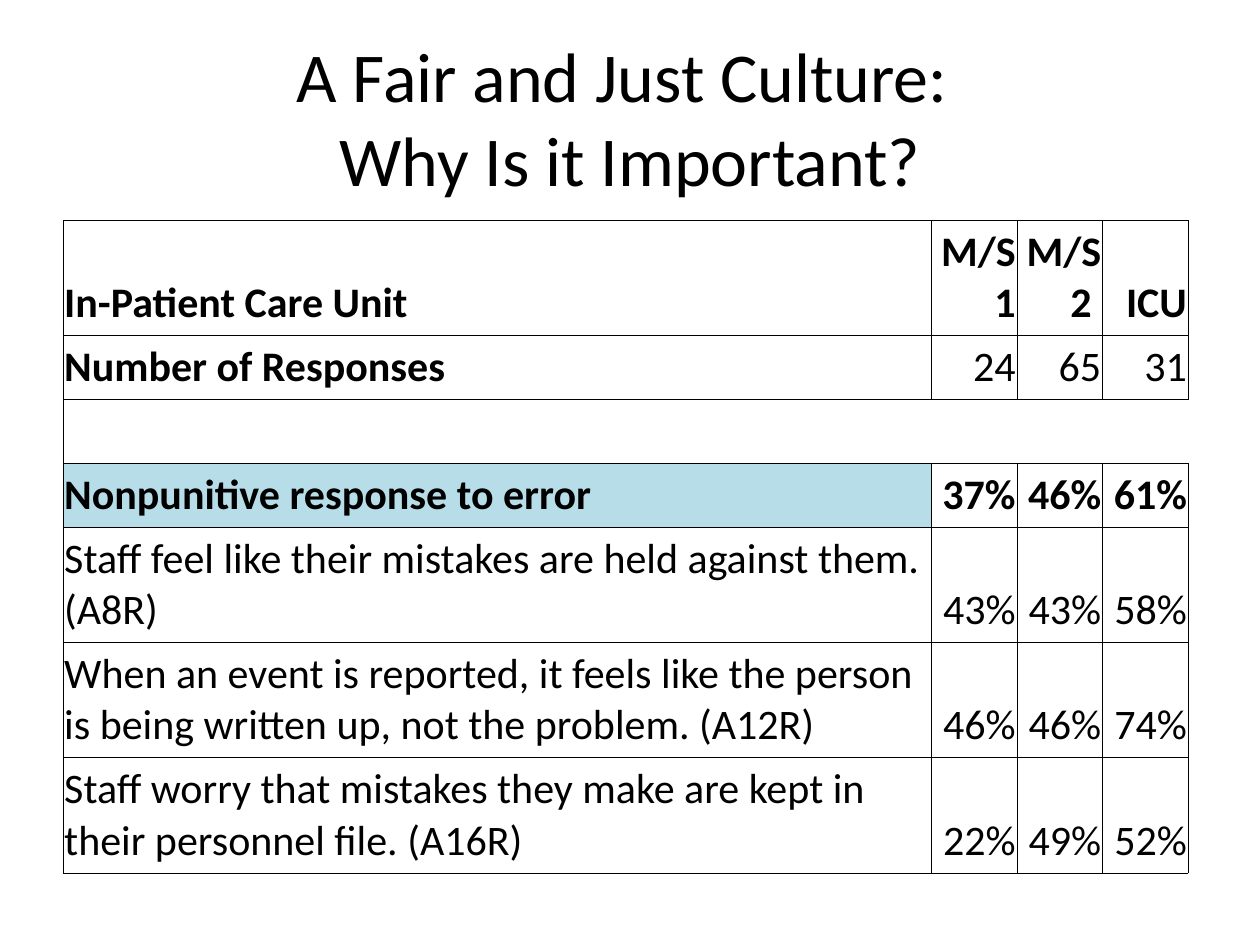
from lxml.etree import SubElement
from pptx import Presentation
from pptx.dml.color import RGBColor
from pptx.enum.text import MSO_ANCHOR, PP_ALIGN
from pptx.oxml.ns import qn
from pptx.util import Inches, Pt

# Content: (label, values, label bold, values bold); None is the open spacer row
TITLE = "A Fair and Just Culture: \vWhy Is it Important?"
ROWS = [
    ("In-Patient Care Unit", ("M/S 1", "M/S 2 ", "ICU"), True, True),
    ("Number of Responses", ("24", "65", "31"), True, False),
    None,
    ("Nonpunitive response to error", ("37%", "46%", "61%"), True, True),
    ("Staff feel like their mistakes are held against them. (A8R)",
     ("43%", "43%", "58%"), False, False),
    ("When an event is reported, it feels like the person is being written up, "
     "not the problem. (A12R)", ("46%", "46%", "74%"), False, False),
    ("Staff worry that mistakes they make are kept in their personnel file. (A16R)",
     ("22%", "49%", "52%"), False, False),
]
HIGHLIGHT_ROW = 3
TWO_LINE_ROWS = {0, 4, 5, 6}
COLUMN_WIDTHS = [6.89, 0.68, 0.68, 0.68]
ROW_HEIGHT, TWO_LINE_HEIGHT = 0.41, 0.81
COLORS = {"text": "000000", "border": "000000", "highlight": "B7DEE8"}
FONT, TABLE_SIZE = "Calibri", 24
BORDER_WIDTH = Pt(0.23)


def write(frame, text, size, bold=False, align=PP_ALIGN.LEFT):
    paragraph = frame.paragraphs[0]
    paragraph.text = text
    paragraph.alignment = align
    for run in paragraph.runs:
        run.font.name = FONT
        run.font.size = Pt(size)
        run.font.bold = bold
        run.font.color.rgb = RGBColor.from_string(COLORS["text"])
    if not text:
        # An empty cell keeps the line height of the table text
        SubElement(paragraph._p, qn("a:endParaRPr"), sz=str(size * 100))


def set_borders(cell, visible):
    properties = cell._tc.get_or_add_tcPr()
    for position, side in enumerate("LRTB"):
        line = SubElement(properties, qn(f"a:ln{side}"), w=str(BORDER_WIDTH))
        if side in visible:
            solid = SubElement(line, qn("a:solidFill"))
            SubElement(solid, qn("a:srgbClr"), val=COLORS["border"])
        else:
            SubElement(line, qn("a:noFill"))
        properties.insert(position, line)


prs = Presentation()
prs.slide_width, prs.slide_height = Inches(10), Inches(7.5)
slide = prs.slides.add_slide(prs.slide_layouts[5])

# Title
title = slide.shapes.title
title.left, title.top = Inches(0.5), Inches(0.3)
title.width, title.height = Inches(9), Inches(1.25)
title.text_frame.vertical_anchor = MSO_ANCHOR.MIDDLE
write(title.text_frame, TITLE, 40, align=PP_ALIGN.CENTER)

# Survey table
heights = [TWO_LINE_HEIGHT if r in TWO_LINE_ROWS else ROW_HEIGHT
           for r in range(len(ROWS))]
survey = slide.shapes.add_table(
    len(ROWS), len(COLUMN_WIDTHS), Inches(0.5), Inches(1.75),
    Inches(sum(COLUMN_WIDTHS)), Inches(sum(heights))).table
survey.first_row = survey.horz_banding = False
for column, width in zip(survey.columns, COLUMN_WIDTHS):
    column.width = Inches(width)

for r, (content, height) in enumerate(zip(ROWS, heights)):
    survey.rows[r].height = Inches(height)
    label, values, label_bold, value_bold = content or ("", ("", "", ""), False, False)
    for c, text in enumerate((label, *values)):
        cell = survey.cell(r, c)
        cell.margin_left = cell.margin_right = Inches(0.01)
        cell.margin_top = cell.margin_bottom = Inches(0.05)
        cell.vertical_anchor = MSO_ANCHOR.BOTTOM
        write(cell.text_frame, text, TABLE_SIZE,
              bold=value_bold if c else label_bold,
              align=PP_ALIGN.RIGHT if c else PP_ALIGN.LEFT)
        if r == HIGHLIGHT_ROW and c == 0:
            cell.fill.solid()
            cell.fill.fore_color.rgb = RGBColor.from_string(COLORS["highlight"])
        else:
            cell.fill.background()
        if content:
            set_borders(cell, "LRTB")
        else:
            set_borders(cell, "TB" if c else "LTB")

prs.save("out.pptx")
